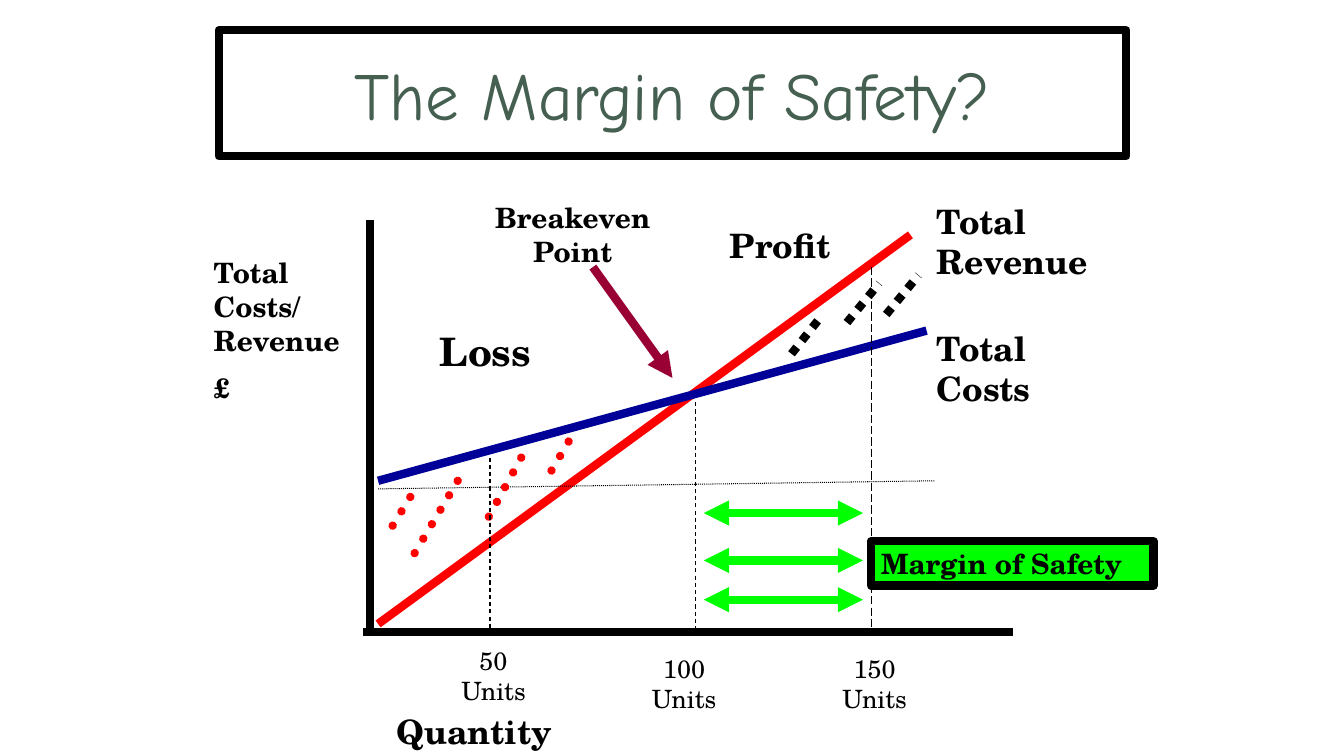
import pptx
import pptx.util
import pptx.dml.color
import pptx.enum.dml
import pptx.enum.shapes
import pptx.enum.text
import pptx.oxml.ns
from lxml import etree

Inches, Pt = pptx.util.Inches, pptx.util.Pt
RGBColor = pptx.dml.color.RGBColor
DASH = pptx.enum.dml.MSO_LINE
ALIGN = pptx.enum.text.PP_ALIGN
ANCHOR = pptx.enum.text.MSO_ANCHOR
qn = pptx.oxml.ns.qn

BLACK = RGBColor(0x00, 0x00, 0x00)
WHITE = RGBColor(0xFF, 0xFF, 0xFF)
RED = RGBColor(0xFF, 0x00, 0x00)
NAVY = RGBColor(0x00, 0x00, 0x99)
MAROON = RGBColor(0x99, 0x00, 0x33)
GREEN = RGBColor(0x00, 0xFF, 0x00)
TITLE_GREEN = RGBColor(0x45, 0x5F, 0x51)
SERIF, HAND = "TeX Gyre Schola", "Comic Neue"
THICK, THIN = 6, 0.75


def set_text(sp, text, size=20, bold=True, font=SERIF, color=BLACK,
             align=ALIGN.LEFT, anchor=ANCHOR.TOP, space=0):
    """Write text into a shape, one paragraph a line, in one format."""
    tf = sp.text_frame
    tf.word_wrap = True
    tf.auto_size = pptx.enum.text.MSO_AUTO_SIZE.NONE
    tf.vertical_anchor = anchor
    tf.margin_left = tf.margin_right = Inches(0.1)
    tf.margin_top = tf.margin_bottom = Inches(0.05)
    for i, line in enumerate(text.split("\n")):
        p = tf.add_paragraph() if i else tf.paragraphs[0]
        p.alignment = align
        p.space_before = Pt(space if i else 0)
        r = p.add_run()
        r.text = line
        r.font.name, r.font.size, r.font.bold = font, Pt(size), bold
        r.font.color.rgb = color


def frame(sp, fill):
    """Give a shape a solid fill and a thick black border."""
    sp.fill.solid()
    sp.fill.fore_color.rgb = fill
    sp.line.color.rgb = BLACK
    sp.line.width = Pt(THICK)


def add_line(s, start, end, color=BLACK, width=THICK, dash=None,
             round_cap=False, head=False, tail=False):
    """Draw a straight line between two points given in inches."""
    c = s.shapes.add_connector(pptx.enum.shapes.MSO_CONNECTOR.STRAIGHT,
                               *(Inches(v) for v in (*start, *end)))
    c.line.color.rgb = color
    c.line.width = Pt(width)
    if dash:
        c.line.dash_style = dash
    ln = c.line._get_or_add_ln()
    if round_cap:
        ln.set("cap", "rnd")
    for tag, wanted in (("a:headEnd", head), ("a:tailEnd", tail)):
        if wanted:
            etree.SubElement(ln, qn(tag), type="triangle")
    etree.SubElement(c._element.spPr, qn("a:effectLst"))


def add_title(s, left, top, width, height):
    """Place the framed title."""
    sp = s.shapes.title
    sp.left, sp.top, sp.width, sp.height = map(Inches, (left, top, width, height))
    frame(sp, WHITE)
    set_text(sp, "The Margin of Safety?", size=48, bold=False, font=HAND,
             color=TITLE_GREEN, align=ALIGN.CENTER, anchor=ANCHOR.MIDDLE)


def add_breakeven(s, left, top, width, height):
    """Draw the breakeven diagram; offsets run right and up from the origin."""
    def at(dx, up):
        return left + dx, top + height - up

    def line(start, end, **style):
        add_line(s, at(*start), at(*end), **style)

    def label(dx, up, w, h, text, **style):
        x, y = at(dx, up)
        box = s.shapes.add_textbox(*map(Inches, (x, y, w, h)))
        set_text(box, text, **style)

    line((0, height), (0, 0))
    line((-0.07, 0), (width, 0))
    line((0.08, 0.08), (5.36, 3.94), color=RED)
    line((0.08, 1.42), (5.6, 1.5), width=THIN, dash=DASH.ROUND_DOT)
    line((0.08, 1.5), (5.52, 2.99), color=NAVY)

    loss_dots = [((0.4, 1.34), (0.16, 0.95)), ((0.87, 1.5), (0.4, 0.71)),
                 ((1.5, 1.73), (1.11, 1.02)), ((1.97, 1.89), (1.74, 1.5))]
    profit_dots = [((4.18, 2.76), (4.49, 3.15)), ((4.73, 3.07), (5.05, 3.46)),
                   ((5.12, 3.15), (5.44, 3.54))]
    for dots, color, is_round in ((loss_dots, RED, True),
                                  (profit_dots, BLACK, False)):
        for start, end in dots:
            line(start, end, color=color, dash=DASH.ROUND_DOT,
                 round_cap=is_round)

    line((2.21, 3.62), (3, 2.52), color=MAROON, tail=True)

    guides = [(50, 1.19, 1.73, -0.08, DASH.DASH),
              (100, 3.23, 2.28, -0.16, DASH.DASH),
              (150, 4.97, 3.62, -0.16, DASH.LONG_DASH)]
    for i, (units, dx, up, label_up, dash) in enumerate(guides):
        line((dx, up), (dx, 0), width=THIN, dash=dash)
        label(0.79 + 1.89 * i, label_up, 0.87, 0.7, f"{units} Units",
              size=18, bold=False, align=ALIGN.CENTER)

    for up in (0.32, 0.71, 1.18):
        line((3.31, up), (4.89, up), color=GREEN, head=True, tail=True)

    label(-1.65, 3.78, 1.65, 1.28, "Total Costs/ Revenue\n£", space=10)
    label(0.16, -0.73, 3.86, 0.5, "Quantity", size=24)
    label(5.52, 4.33, 1.89, 0.91, "Total Revenue", size=24)
    label(5.52, 3.07, 1.42, 0.91, "Total Costs", size=24)
    label(0.32, 3.07, 1.65, 0.57, "Loss", size=28, align=ALIGN.CENTER)
    label(3.47, 4.09, 1.34, 0.5, "Profit", size=24)
    label(0.95, 4.33, 2.12, 0.44, "Breakeven Point", align=ALIGN.CENTER)

    x, y = at(4.97, 0.9)
    sp = s.shapes.add_shape(pptx.enum.shapes.MSO_SHAPE.RECTANGLE,
                            *map(Inches, (x, y, 2.8, 0.44)))
    sp.shadow.inherit = False
    frame(sp, GREEN)
    set_text(sp, "Margin of Safety")


def main():
    """Build the slide and save it."""
    prs = pptx.Presentation()
    prs.slide_width, prs.slide_height = Inches(13.33), Inches(7.5)
    s = prs.slides.add_slide(prs.slide_layouts[5])
    add_title(s, 2.17, 0.3, 9, 1.25)
    add_breakeven(s, 3.67, 2.18, 6.38, 4.09)
    prs.save("out.pptx")


main()
